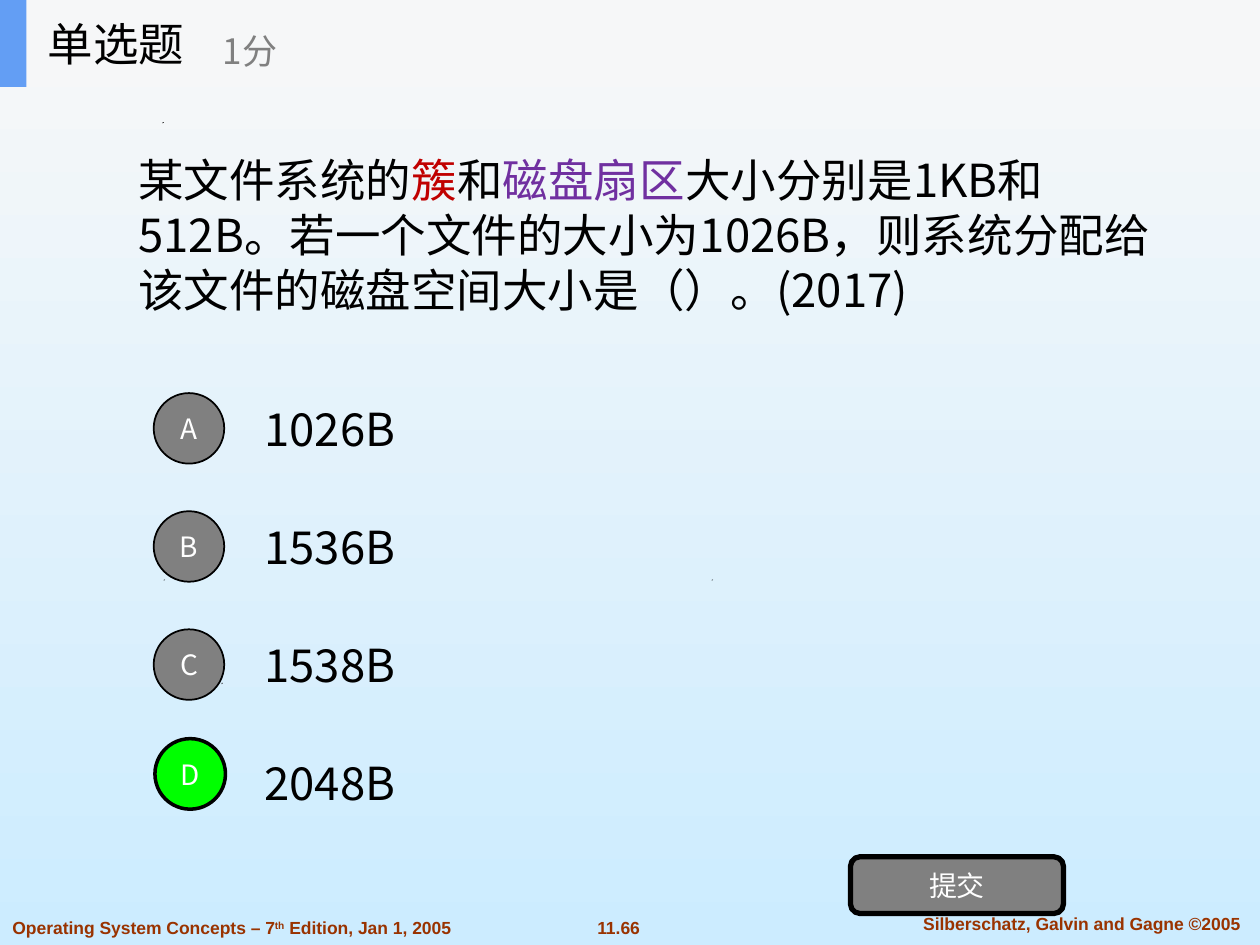
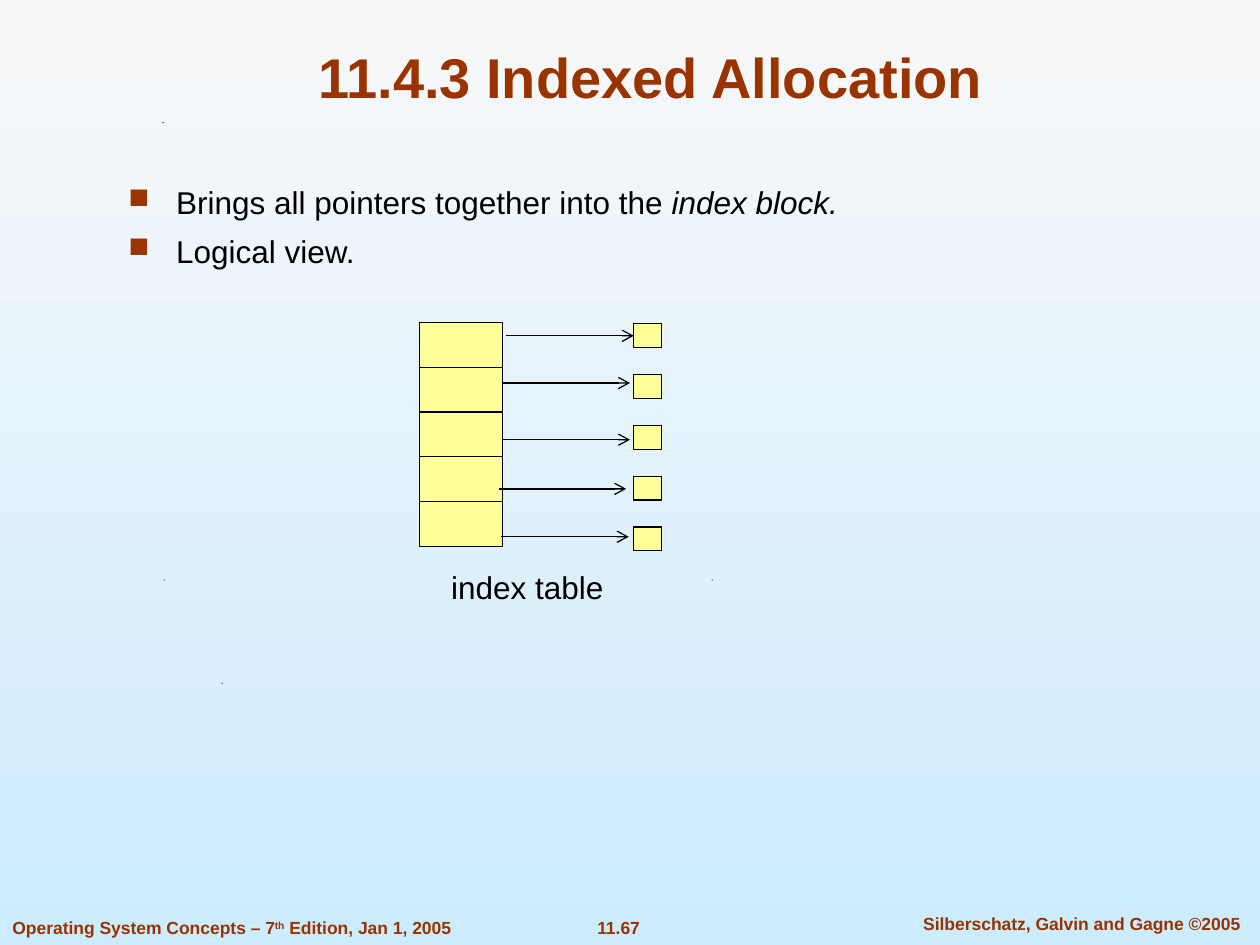
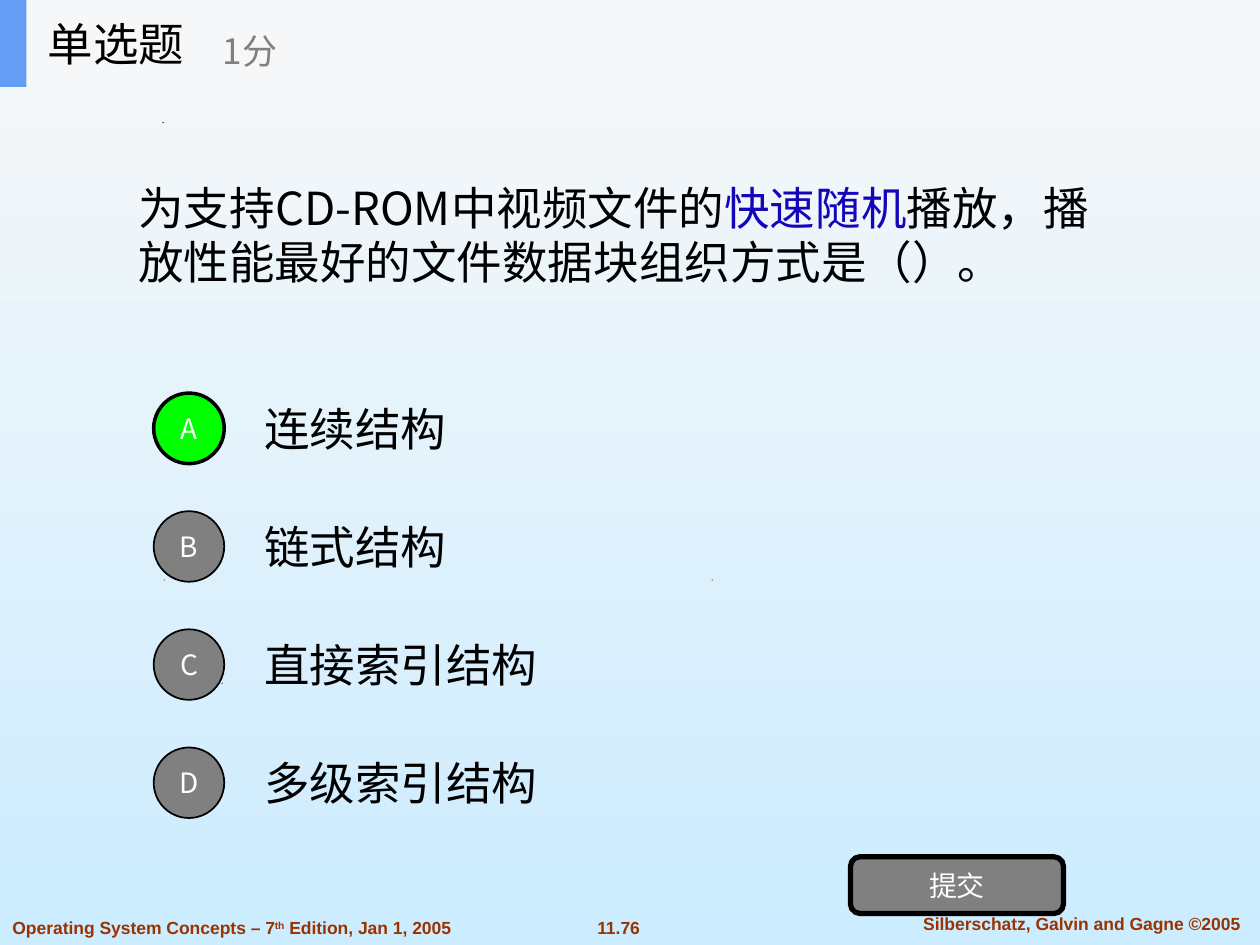
from pptx import Presentation
from pptx.dml.color import RGBColor
from pptx.enum import shapes, text
from pptx.oxml import ns, xmlchemy
from pptx import util as u

# Grid of square cells shared by all slides
COLUMNS, ROWS = 100, 75
CELL = u.Inches(0.1)

# Shared colours and fonts
BROWN, BLACK, WHITE, GREY = "993300", "000000", "FFFFFF", "808080"
GREEN, YELLOW, BLUE, BAND = "00FF00", "FFFF99", "639EF4", "F6F7F8"
LATIN, CHINESE = "Arial", "Noto Sans CJK SC"

LEFT, CENTER = text.PP_ALIGN.LEFT, text.PP_ALIGN.CENTER
TOP, MIDDLE, BOTTOM = (text.MSO_ANCHOR.TOP, text.MSO_ANCHOR.MIDDLE,
                       text.MSO_ANCHOR.BOTTOM)
KIND = shapes.MSO_SHAPE

# Answer options
OPTION_TOP, OPTION_STEP = 30.5, ROWS / 8


def color(value):
    return RGBColor.from_string(value)


def cells(*values):
    return [u.Emu(round(value * CELL)) for value in values]


def add_xml(parent, tag, **attributes):
    child = xmlchemy.OxmlElement(tag)
    for name, value in attributes.items():
        child.set(name, value)
    parent.append(child)
    return child


# Text
def set_font(para, size, font, ink, bold=False):
    para.font.size = u.Pt(size)
    para.font.bold = bold
    para.font.color.rgb = color(ink)
    para.font.name = font
    defaults = para._p.pPr.find(ns.qn("a:defRPr"))
    add_xml(defaults, "a:ea", typeface=font)


def add_bullet(para):
    properties = para._p.get_or_add_pPr()
    indent = u.Inches(0.38)
    properties.set("marL", str(indent))
    properties.set("indent", str(-indent))
    add_xml(add_xml(properties, "a:buClr"), "a:srgbClr", val=BROWN)
    add_xml(properties, "a:buSzPct", val="90000")
    add_xml(properties, "a:buChar", char="■")


def add_span(para, words, ink=None, italic=False, raised=False):
    span = para.add_run()
    span.text = words
    if ink:
        span.font.color.rgb = color(ink)
    if italic:
        span.font.italic = True
    if raised:
        span._r.get_or_add_rPr().set("baseline", "30000")


def write(shape, paragraphs, size, font=LATIN, ink=BLACK, bold=False,
          align=LEFT, anchor=MIDDLE, wrap=True, bullets=False):
    """Fill a shape; each paragraph is a list of (words, options) spans."""
    frame = shape.text_frame
    frame.word_wrap = wrap
    frame.auto_size = text.MSO_AUTO_SIZE.NONE
    frame.vertical_anchor = anchor
    for number, spans in enumerate(paragraphs):
        para = frame.add_paragraph() if number else frame.paragraphs[0]
        if bullets:
            add_bullet(para)
        para.alignment = align
        if number:
            para.space_before = u.Pt(6.5)
        set_font(para, size, font, ink, bold)
        for words, options in spans:
            add_span(para, words, **options)


def plain(words):
    return [[(words, {})]]


def add_text(page, area, paragraphs, size, **style):
    write(page.shapes.add_textbox(*cells(*area)), paragraphs, size, **style)


def set_title(page, area, words, size, **style):
    title = page.shapes.title
    title.left, title.top, title.width, title.height = cells(*area)
    write(title, plain(words), size, **style)
    return title


# Shapes and lines
def add_shape(page, kind, area, fill, line=None):
    shape = page.shapes.add_shape(kind, *cells(*area))
    shape.shadow.inherit = False
    shape.fill.solid()
    shape.fill.fore_color.rgb = color(fill)
    if line:
        shape.line.color.rgb = color(BLACK)
        shape.line.width = u.Pt(line)
    else:
        shape.line.fill.background()
    return shape


def add_label_shape(page, kind, area, fill, line, words):
    shape = add_shape(page, kind, area, fill, line)
    write(shape, plain(words), 16, font=CHINESE, ink=WHITE, align=CENTER,
          wrap=False)


def add_arrow(page, left, top, length):
    arrow = page.shapes.add_connector(
        shapes.MSO_CONNECTOR.STRAIGHT, *cells(left, top, left + length, top))
    arrow.line.color.rgb = color(BLACK)
    arrow.line.width = u.Pt(0.75)
    add_xml(arrow.line._get_or_add_ln(), "a:tailEnd", type="arrow")
    add_xml(arrow._element.spPr, "a:effectLst")
    return arrow


def add_speck(page, left, top):
    builder = page.shapes.build_freeform(left * 10, top * 10, CELL / 10)
    builder.add_line_segments([(left * 10 + 1, top * 10),
                               (left * 10, top * 10 + 1)])
    speck = builder.convert_to_shape()
    speck.shadow.inherit = False
    speck.fill.solid()
    speck.fill.fore_color.rgb = color(BLACK)
    speck.line.fill.background()


# Parts shared by the slides
def set_background(deck):
    fill = deck.slide_master.background.fill
    fill.gradient()
    fill.gradient_angle = 270
    for stop, shade in zip(fill.gradient_stops, ("F8F8F8", "CCECFF")):
        stop.color.rgb = color(shade)


def add_page(deck, number):
    page = deck.slides.add_slide(deck.slide_layouts.get_by_name("Title Only"))
    for left, top in ((17.6, 54.2), (13, 46), (56.5, 46), (12.9, 9.7)):
        add_speck(page, left, top)
    edition = [[("Operating System Concepts – 7", {}),
                ("th", {"raised": True}),
                (" Edition, Jan 1, 2005", {})]]
    authors = plain("Silberschatz, Galvin and Gagne ©2005")
    for area, words, align in (
            ((46.3, 72.3, 5.6, 2.7), plain(number), CENTER),
            ((71, 72, 29.7, 2.7), authors, CENTER),
            ((0, 72.3, 36.9, 2.7), edition, LEFT)):
        add_text(page, area, words, 10, ink=BROWN, bold=True, align=align,
                 anchor=TOP, wrap=align == LEFT or words is authors)
    return page


def add_question_header(page):
    add_shape(page, KIND.RECTANGLE, (0, 0, COLUMNS, 6.9), BAND)
    add_shape(page, KIND.RECTANGLE, (0, 0, 2.1, 6.9), BLUE)
    title = set_title(page, (2.8, 0, 20.8, 6.9), "单选题", 26, font=CHINESE)
    page.shapes._spTree.append(title._element)  # bring in front of the band
    add_text(page, (16.7, 1.2, 25, 5.6), plain("1分"), 20, font=CHINESE,
             ink=GREY)


def add_question_page(deck, number, question, width, options, correct,
                      nudge=(0, 0)):
    """A single-choice question; nudge shifts the marker of the answer."""
    page = add_page(deck, number)
    add_text(page, (10, 6.9, width, 23.4), [question], 26, font=CHINESE)
    for row, (letter, option) in enumerate(zip("ABCD", options)):
        top = OPTION_TOP + row * OPTION_STEP
        add_text(page, (20, top, 70, 7), plain(option), 26, font=CHINESE)
        right = letter == correct
        across, down = nudge if right else (0, 0)
        add_label_shape(page, KIND.OVAL,
                        (12.2 + across, top + 0.7 + down, 5.6, 5.6),
                        GREEN if right else GREY, 2 if right else 1, letter)
    add_label_shape(page, KIND.ROUNDED_RECTANGLE, (67.5, 68, 16.9, 4.5),
                    GREY, 3, "提交")
    add_question_header(page)


def add_index_page(deck, number):
    page = add_page(deck, number)
    set_title(page, (7.5, 2.5, 88.3, 6.7), "11.4.3 Indexed Allocation", 32,
              ink=BROWN, bold=True, align=CENTER, anchor=BOTTOM)
    points = [[("Brings all pointers together into the ", {}),
               ("index block.", {"italic": True})],
              [("Logical view.", {})]]
    add_text(page, (9.2, 14, 80.4, 10.2), points, 18, anchor=TOP,
             bullets=True)

    # Index table, data blocks and the pointers between them
    pointers = ((40.2, 26.65), (39.9, 30.4), (39.9, 34.9), (39.6, 38.8),
                (39.8, 42.6))
    for row in range(len(pointers)):
        add_shape(page, KIND.RECTANGLE, (33.3, 25.6 + 3.55 * row, 6.6, 3.6),
                  YELLOW, 0.75)
    blocks = [add_shape(page, KIND.RECTANGLE,
                        (50.3, 25.7 + 4.03 * row, 2.2, 1.9), YELLOW, 0.75)
              for row in range(len(pointers))]
    arrows = [add_arrow(page, left, top, 10.1) for left, top in pointers]
    arrows[0].end_connect(blocks[0], 1)
    add_text(page, (34.8, 44.6, 14.1, 4), plain("index table"), 18,
             align=CENTER, wrap=False)


def main():
    deck = Presentation()
    deck.slide_width, deck.slide_height = cells(COLUMNS, ROWS)
    set_background(deck)

    add_question_page(
        deck, "11.66",
        [("某文件系统的", {}), ("簇", {"ink": "C00000"}), ("和", {}),
         ("磁盘扇区", {"ink": "7030A0"}),
         ("大小分别是1KB和512B。若一个文件的大小为1026B，"
          "则系统分配给该文件的磁盘空间大小是（）。(2017)", {})],
        85, ("1026B", "1536B", "1538B", "2048B"), "D", nudge=(0.1, -0.7))
    add_index_page(deck, "11.67")
    add_question_page(
        deck, "11.76",
        [("为支持CD-ROM中视频文件的", {}), ("快速随机", {"ink": "1306BA"}),
         ("播放，播放性能最好的文件数据块组织方式是（）。", {})],
        80, ("连续结构", "链式结构", "直接索引结构", "多级索引结构"), "A")

    deck.save("out.pptx")


if __name__ == "__main__":
    main()
